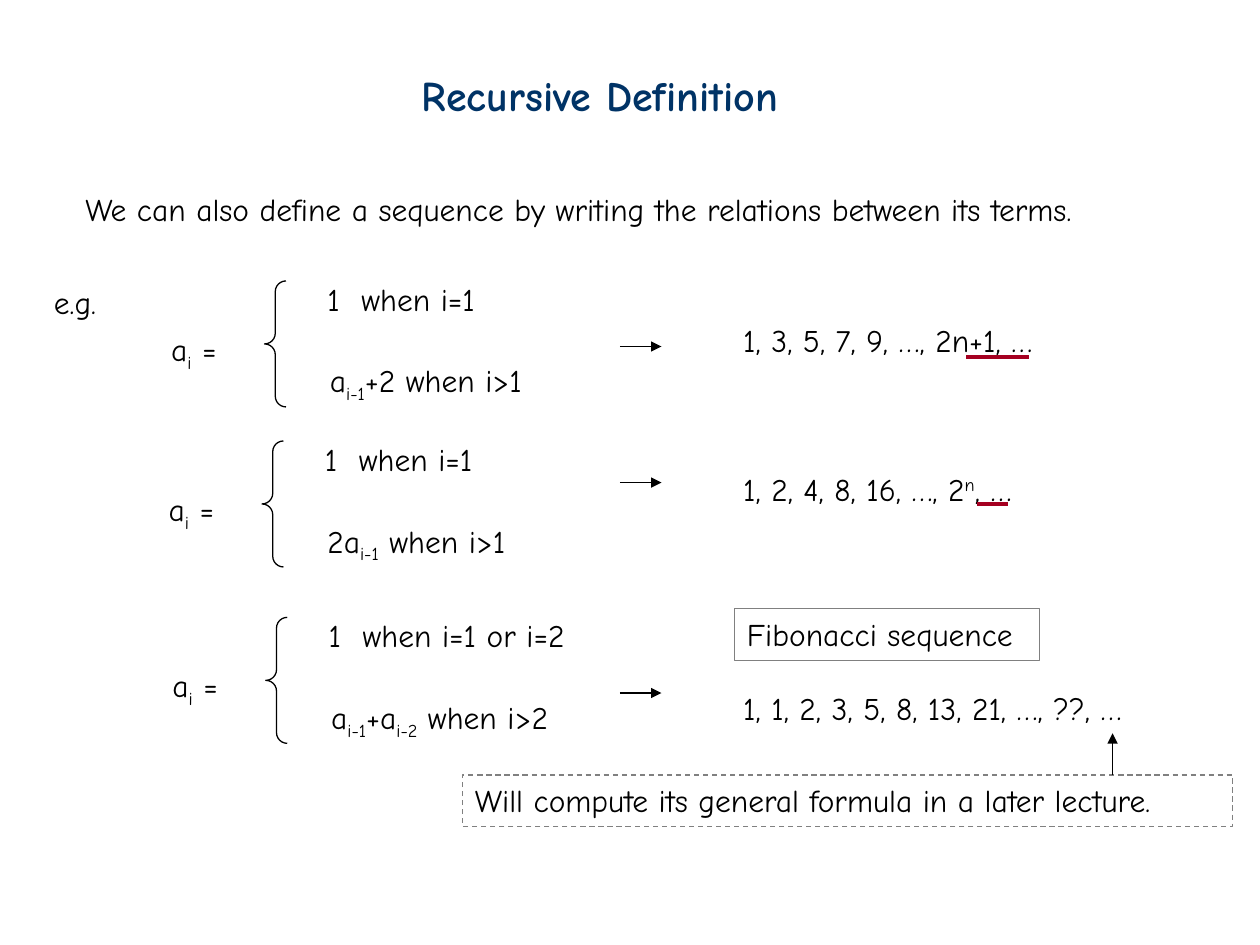
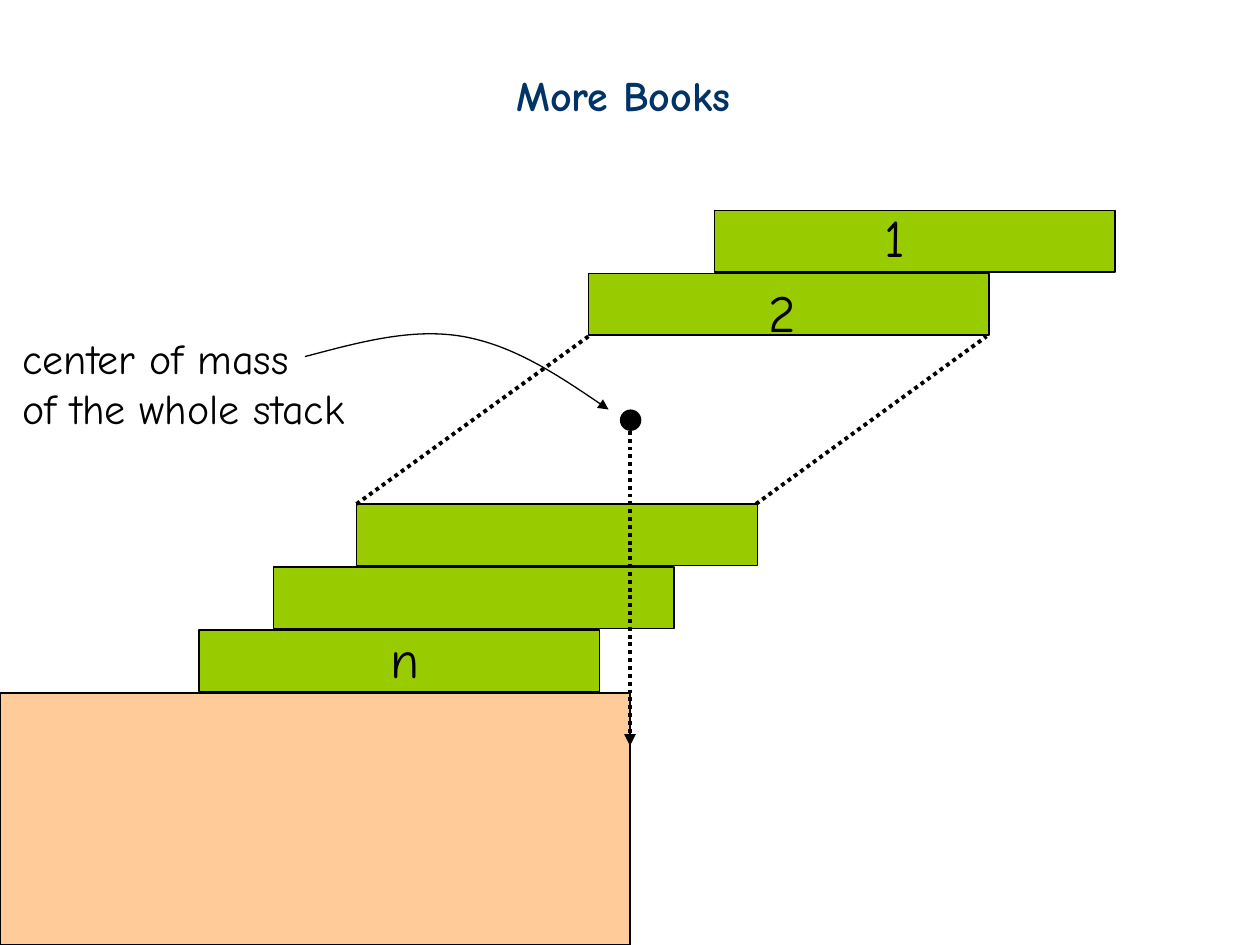
from lxml import etree
from pptx import Presentation
from pptx.dml.color import RGBColor
from pptx.enum.dml import MSO_LINE as DASH
from pptx.enum.shapes import MSO_CONNECTOR as CONNECTOR, MSO_SHAPE as SHAPE
from pptx.enum.text import MSO_ANCHOR as ANCHOR, PP_ALIGN as ALIGN
from pptx.oxml.ns import qn
from pptx.util import Inches, Pt

COLORS = {
    "title": "003366",
    "ink": "000000",
    "frame": "808080",
    "underline": "A50021",
    "book": "99CC00",
    "table": "FFCC99",
}
FONT = "Comic Neue"
BASELINES = {"_": "-25000", "^": "30000"}
BOOK_W, BOOK_H = 3.18, 0.49


def rgb(name):
    return RGBColor.from_string(COLORS[name])


def style_line(line, color="ink", width=0.75, dash=None):
    line.color.rgb = rgb(color)
    line.width = Pt(width)
    if dash is not None:
        line.dash_style = dash


def add_arrowhead(shape):
    ln = shape.line._get_or_add_ln()
    etree.SubElement(ln, qn("a:tailEnd"), type="triangle")


def add_runs(p, text, size, color, bold):
    for part in text.split("|"):
        r = p.add_run()
        r.text = part.lstrip("_^")
        formats = {"name": FONT, "size": Pt(size), "bold": bold}
        for key, value in formats.items():
            setattr(r.font, key, value)
        r.font.color.rgb = rgb(color)
        if part[0] in BASELINES:
            r.font._element.set("baseline", BASELINES[part[0]])


def fill_text(shape, lines, size=18, color="ink", bold=False, tab=None):
    tf = shape.text_frame
    tf.word_wrap = True
    tf.vertical_anchor = ANCHOR.TOP
    for i, text in enumerate(lines):
        p = tf.add_paragraph() if i else tf.paragraphs[0]
        p.alignment = ALIGN.LEFT
        if tab:
            tabs = etree.SubElement(p._p.get_or_add_pPr(), qn("a:tabLst"))
            etree.SubElement(tabs, qn("a:tab"), pos=str(Inches(tab)), algn="l")
        add_runs(p, text, size, color, bold)


def add_text(s, x, y, w, *lines, h=0.4, **style):
    box = s.shapes.add_textbox(Inches(x), Inches(y), Inches(w), Inches(h))
    fill_text(box, lines, **style)


def add_title(s, x, w, text):
    add_text(s, x, 0.5, w, text, h=0.5, size=24, color="title", bold=True)


def add_shape(s, kind, x, y, w, h, fill=None, line="ink", dash=None):
    sp = s.shapes.add_shape(kind, Inches(x), Inches(y), Inches(w), Inches(h))
    sp.shadow.inherit = False
    if fill:
        sp.fill.solid()
        sp.fill.fore_color.rgb = rgb(fill)
    else:
        sp.fill.background()
    if line:
        style_line(sp.line, line, dash=dash)
    else:
        sp.line.fill.background()
    return sp


def add_line(s, start, end, arrow=False, **style):
    points = [Inches(v) for v in (*start, *end)]
    line = s.shapes.add_connector(CONNECTOR.STRAIGHT, *points)
    style_line(line.line, **style)
    if arrow:
        add_arrowhead(line)
    etree.SubElement(line._element.spPr, qn("a:effectLst"))


def add_curve(s, start, *points):
    builder = s.shapes.build_freeform(Inches(start[0]), Inches(start[1]), scale=1.0)
    builder.add_line_segments([(Inches(x), Inches(y)) for x, y in points], close=False)
    curve = builder.convert_to_shape()
    curve.shadow.inherit = False
    curve.fill.background()
    style_line(curve.line)
    add_arrowhead(curve)
    segments = list(curve._element.iter(qn("a:lnTo")))
    outline = segments[0].getparent()
    for i in range(0, len(segments), 3):
        bezier = etree.SubElement(outline, qn("a:cubicBezTo"))
        for segment in segments[i:i + 3]:
            bezier.append(segment[0])
            outline.remove(segment)


def add_recurrence(s, x, y, base, step, arrow_y):
    brace = add_shape(s, SHAPE.LEFT_BRACE, x, y, 0.17, 1)
    brace.adjustments[0] = 0.5
    add_text(s, x - 0.84, y + 0.34, 0.6, "a|_i| =")
    add_text(s, x + 0.4, y - 0.06, 2.2, base, tab=0.27)
    add_text(s, x + 0.42, y + 0.59, 2.04, step)
    add_line(s, (4.92, arrow_y), (5.25, arrow_y), arrow=True)


def add_framed_text(s, x, y, w, text, dash=None):
    box = add_shape(s, SHAPE.RECTANGLE, x, y, w, 0.41, line="frame", dash=dash)
    fill_text(box, [text])


def add_book(s, x, y):
    add_shape(s, SHAPE.RECTANGLE, x, y, BOOK_W, BOOK_H, fill="book")


def build_recursion(s):
    add_title(s, 3.25, 3.41, "Recursive Definition")
    add_text(s, 0.58, 1.46, 8.81,
             "We can also define a sequence by writing the relations between its terms.")
    add_text(s, 0.33, 2.2, 0.6, "e.g.")

    recurrences = [
        (2.1, 2.23, "1\twhen i=1", "a|_i-1|+2 when i>1", 2.75),
        (2.08, 3.5, "1\twhen i=1", "2a|_i-1| when i>1", 3.83),
        (2.11, 4.9, "1\twhen i=1 or i=2", "a|_i-1|+a|_i-2| when i>2", 5.5),
    ]
    for recurrence in recurrences:
        add_recurrence(s, *recurrence)

    sequences = [
        (2.5, "1, 3, 5, 7, 9, …, 2n+1, …"),
        (3.68, "1, 2, 4, 8, 16, …, 2|^n|, …"),
        (5.42, "1, 1, 2, 3, 5, 8, 13, 21, …, ??, …"),
    ]
    for y, terms in sequences:
        add_text(s, 5.8, y, 3.61, terms)
    for left, right, y in [(7.67, 8.17, 2.83), (7.75, 8, 4)]:
        add_line(s, (left, y), (right, y), color="underline", width=2.25)

    add_framed_text(s, 5.83, 4.83, 2.42, "Fibonacci sequence")
    add_framed_text(s, 3.67, 6.15, 6.11,
                    "Will compute its general formula in a later lecture.", DASH.DASH)
    add_line(s, (8.83, 6.15), (8.83, 5.82), arrow=True)


def build_books(s):
    dotted = {"width": 2.25, "dash": DASH.ROUND_DOT}
    add_title(s, 4, 2.06, "More Books")
    add_book(s, 1.58, 5)
    add_shape(s, SHAPE.RECTANGLE, 0, 5.5, 5, 2, fill="table")
    for x, y in [(2.17, 4.5), (2.83, 4), (4.67, 2.17), (5.67, 1.67)]:
        add_book(s, x, y)
    for lower, upper in [(2.83, 4.67), (6, 7.83)]:
        add_line(s, (lower, 4), (upper, 2.67), **dotted)

    add_shape(s, SHAPE.OVAL, 4.92, 3.25, 0.17, 0.17, fill="ink", line=None)
    add_line(s, (5, 3.42), (5, 5.92), arrow=True, **dotted)
    add_text(s, 0.08, 2.59, 3.09, "center of mass", "of the whole stack", h=0.9, size=24)
    add_curve(s, (2.42, 2.83), (2.84, 2.72), (3.26, 2.6), (3.67, 2.67),
              (4.07, 2.74), (4.45, 2.99), (4.83, 3.25))
    for x, y, number in [(6.92, 1.58, "1"), (6, 2.17, "2"), (3, 4.92, "n")]:
        add_text(s, x, y, 0.45, number, h=0.6, size=30)


def main():
    prs = Presentation()
    prs.slide_width, prs.slide_height = Inches(10), Inches(7.5)
    for build in (build_recursion, build_books):
        build(prs.slides.add_slide(prs.slide_layouts[6]))
    prs.save("out.pptx")


if __name__ == "__main__":
    main()
